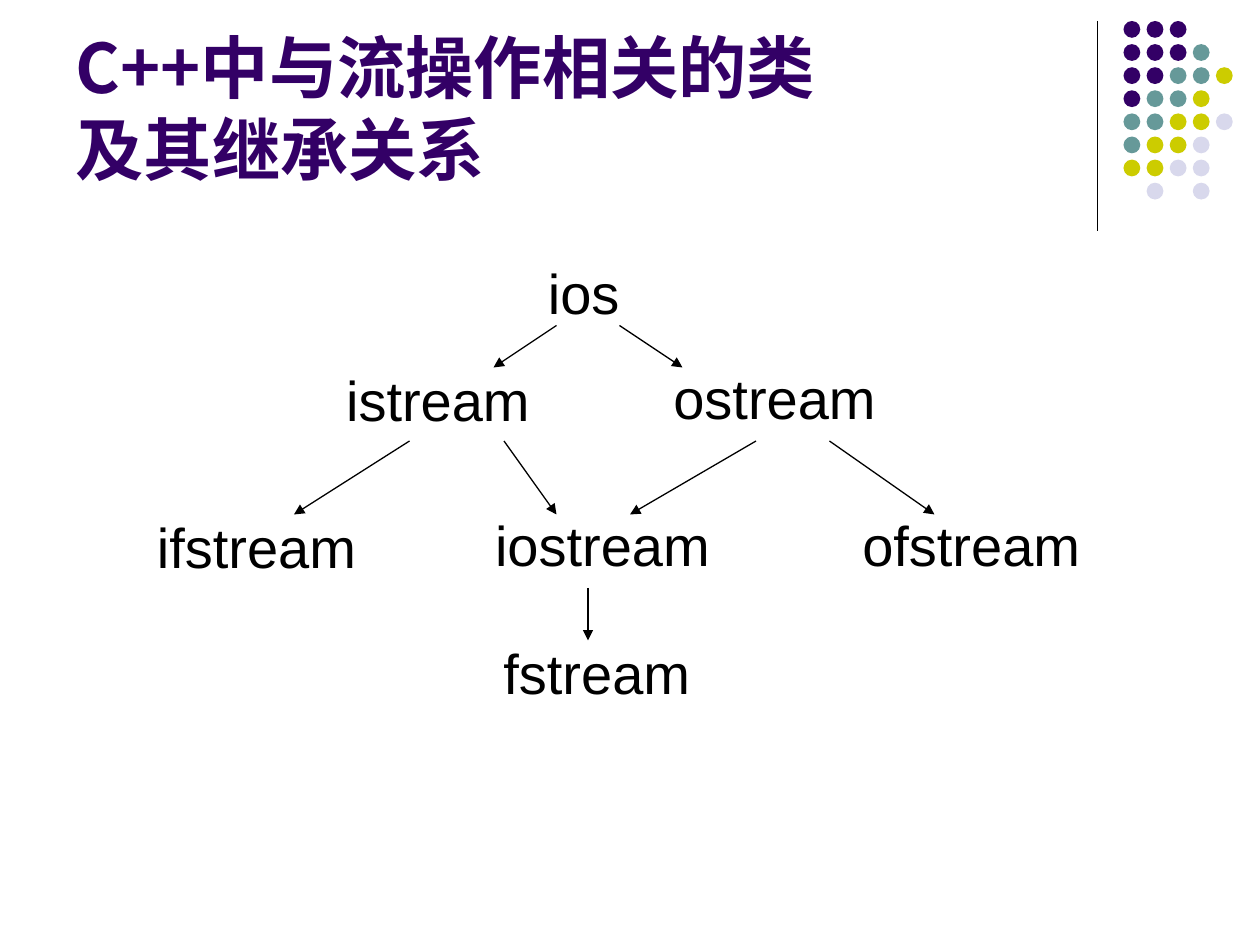
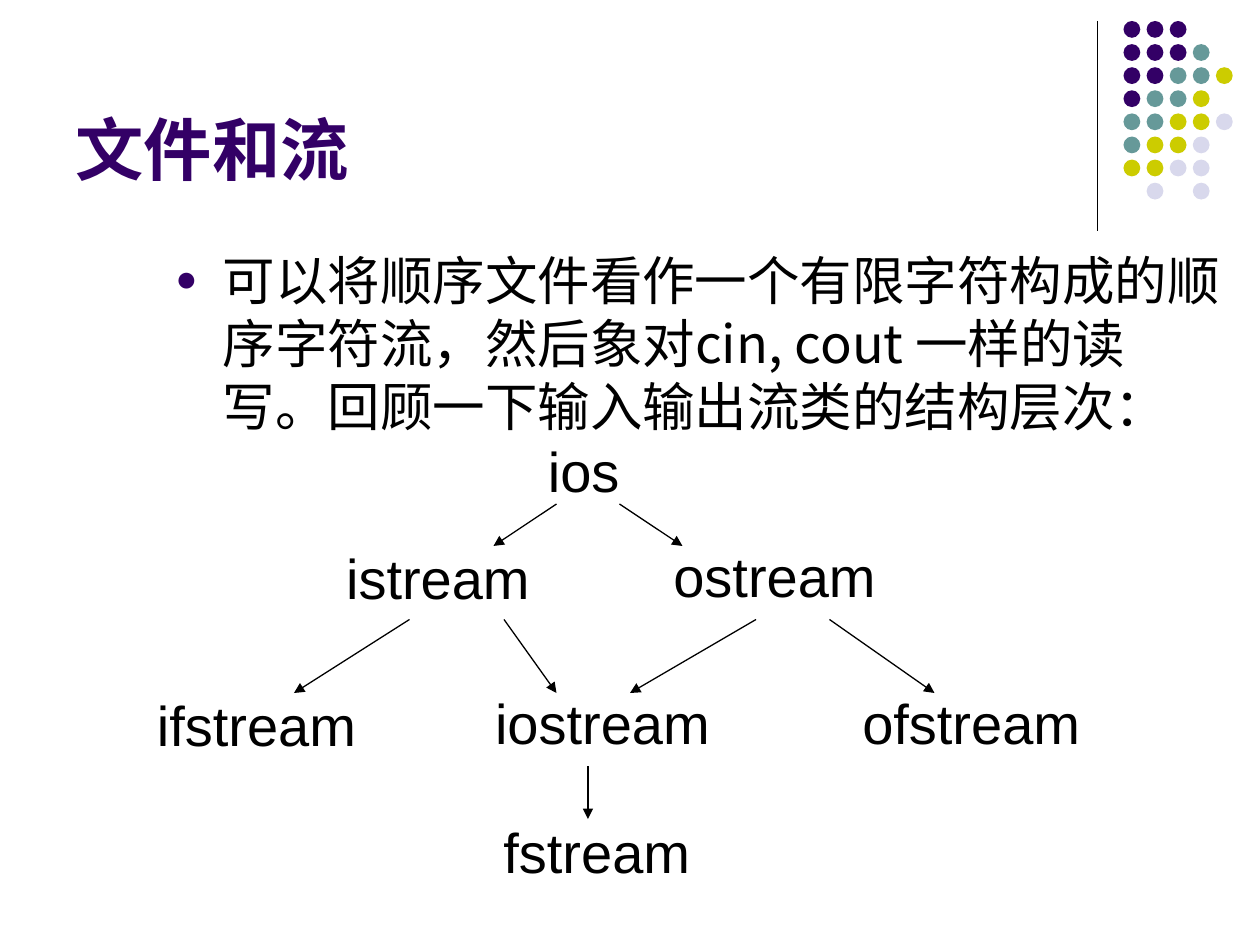
from lxml.etree import SubElement
from pptx import Presentation
from pptx.dml.color import RGBColor
from pptx.enum.shapes import MSO_CONNECTOR as Connector, MSO_SHAPE as Preset
from pptx.enum.text import MSO_ANCHOR as Anchor, MSO_AUTO_SIZE as AutoSize, PP_ALIGN as Align
from pptx.oxml.ns import qn
from pptx.util import Pt

PURPLE = RGBColor(0x33, 0x00, 0x66)
TEAL = RGBColor(0x66, 0x99, 0x99)
OLIVE = RGBColor(0xCC, 0xCC, 0x00)
LAVENDER = RGBColor(0xD8, 0xD8, 0xEC)
BLACK = RGBColor(0x00, 0x00, 0x00)

LATIN = "Arial"
CHINESE = "Noto Sans CJK SC"
TITLE_ONLY, TITLE_AND_BODY = 5, 1

DOT_COLORS = {"P": PURPLE, "T": TEAL, "O": OLIVE, "L": LAVENDER}
DOT_ROWS = ["PPP", "PPPT", "PPTTO", "PTTO", "TTOOL", "TOOL", "OOLL", "-L-L"]
DOT_LEFT, DOT_TOP, DOT_SIZE, DOT_PITCH = 642, 12, 9.6, 13.2

CLASSES = [
    ("ios", 306, 0, 56),
    ("istream", 190.7, 61.3, 121),
    ("ostream", 377.7, 60, 132),
    ("ifstream", 82.6, 145.3, 130),
    ("iostream", 275.8, 144, 139),
    ("ofstream", 485.7, 144, 141),
    ("fstream", 280.6, 217.5, 123),
]
INHERITANCE = [
    (42, 66, [(318, 282), (354, 390)]),
    (108, 150, [(234, 168), (288, 318), (432, 360), (474, 534)]),
    (192, 222, [(336, 336)]),
]


class StreamDeck:
    def __init__(self):
        self.deck = Presentation()
        self.deck.slide_width, self.deck.slide_height = Pt(720), Pt(540)
        self.page = None

    def add_page(self, layout, title):
        self.page = self.deck.slides.add_slide(self.deck.slide_layouts[layout])
        box = self.page.shapes.title
        self.fill_placeholder(box, (36, 9.5, 594, 102), title, 39, 46.5, PURPLE, True)
        box.text_frame.vertical_anchor = Anchor.BOTTOM

    def fill_placeholder(self, box, place, text, size, spacing, color, bold=False):
        box.left, box.top, box.width, box.height = map(Pt, place)
        frame = box.text_frame
        frame.text = text
        frame.word_wrap = True
        frame.auto_size = AutoSize.NONE
        para = frame.paragraphs[0]
        para.alignment = Align.LEFT
        para.line_spacing = Pt(spacing)
        para.space_before = 0
        for span in para.runs:
            self.style_span(span, size, color, CHINESE, bold)
        return para

    def style_span(self, span, size, color, font, bold=False):
        span.font.size = Pt(size)
        span.font.bold = bold
        span.font.color.rgb = color
        span.font.name = font
        SubElement(span.font._element, qn("a:ea"), typeface=CHINESE)

    def bullet(self, text):
        box = self.page.placeholders[1]
        para = self.fill_placeholder(box, (93, 138, 612, 345), text, 30, 36, BLACK)
        box.text_frame.margin_right = Pt(5)
        properties = para._p.get_or_add_pPr()
        properties.set("marL", str(Pt(27)))
        properties.set("indent", str(-Pt(27)))
        properties.set("hangingPunct", "0")
        color = SubElement(properties, qn("a:buClr"))
        SubElement(color, qn("a:srgbClr"), val=str(PURPLE))
        SubElement(properties, qn("a:buSzPct"), val="70000")
        SubElement(properties, qn("a:buFont"), typeface=LATIN)
        SubElement(properties, qn("a:buChar"), char="●")

    def label(self, text, left, top, width):
        box = self.page.shapes.add_textbox(Pt(left), Pt(top), Pt(width), Pt(46))
        frame = box.text_frame
        frame.text = text
        frame.word_wrap = False
        frame.auto_size = AutoSize.NONE
        para = frame.paragraphs[0]
        para.alignment = Align.LEFT
        self.style_span(para.runs[0], 32, BLACK, LATIN)

    def line(self, x1, y1, x2, y2, arrow=False):
        connector = self.page.shapes.add_connector(
            Connector.STRAIGHT, Pt(x1), Pt(y1), Pt(x2), Pt(y2))
        connector.line.color.rgb = BLACK
        connector.line.width = Pt(0.75)
        if arrow:
            SubElement(connector.line._get_or_add_ln(), qn("a:tailEnd"), type="triangle")
        SubElement(connector._element.spPr, qn("a:effectLst"))
        return connector

    def dot(self, left, top, color):
        dot = self.page.shapes.add_shape(
            Preset.OVAL, Pt(left), Pt(top), Pt(DOT_SIZE), Pt(DOT_SIZE))
        dot.shadow.inherit = False
        dot.fill.solid()
        dot.fill.fore_color.rgb = color
        dot.line.fill.background()
        return dot

    def decorate_master(self):
        ornaments = [self.line(627, 12, 627, 132)]
        for row, codes in enumerate(DOT_ROWS):
            for column, code in enumerate(codes):
                if code in DOT_COLORS:
                    ornaments.append(self.dot(
                        DOT_LEFT + column * DOT_PITCH, DOT_TOP + row * DOT_PITCH,
                        DOT_COLORS[code]))
        master_tree = self.deck.slide_master.shapes._spTree
        for ornament in ornaments:
            master_tree.append(ornament._element)

    def class_hierarchy(self, top):
        for name, left, drop, width in CLASSES:
            self.label(name, left, top + drop, width)
        for start, end, links in INHERITANCE:
            for parent, child in links:
                self.line(parent, top + start, child, top + end, arrow=True)


def main():
    show = StreamDeck()
    show.add_page(TITLE_ONLY, "C++中与流操作相关的类\v及其继承关系")
    show.class_hierarchy(144)
    show.decorate_master()

    show.add_page(TITLE_AND_BODY, "文件和流")
    show.bullet("可以将顺序文件看作一个有限字符构成的顺序字符流，然后象对cin, cout 一样的读写。"
                "回顾一下输入输出流类的结构层次：")
    show.class_hierarchy(246)
    show.deck.save("out.pptx")


if __name__ == "__main__":
    main()
